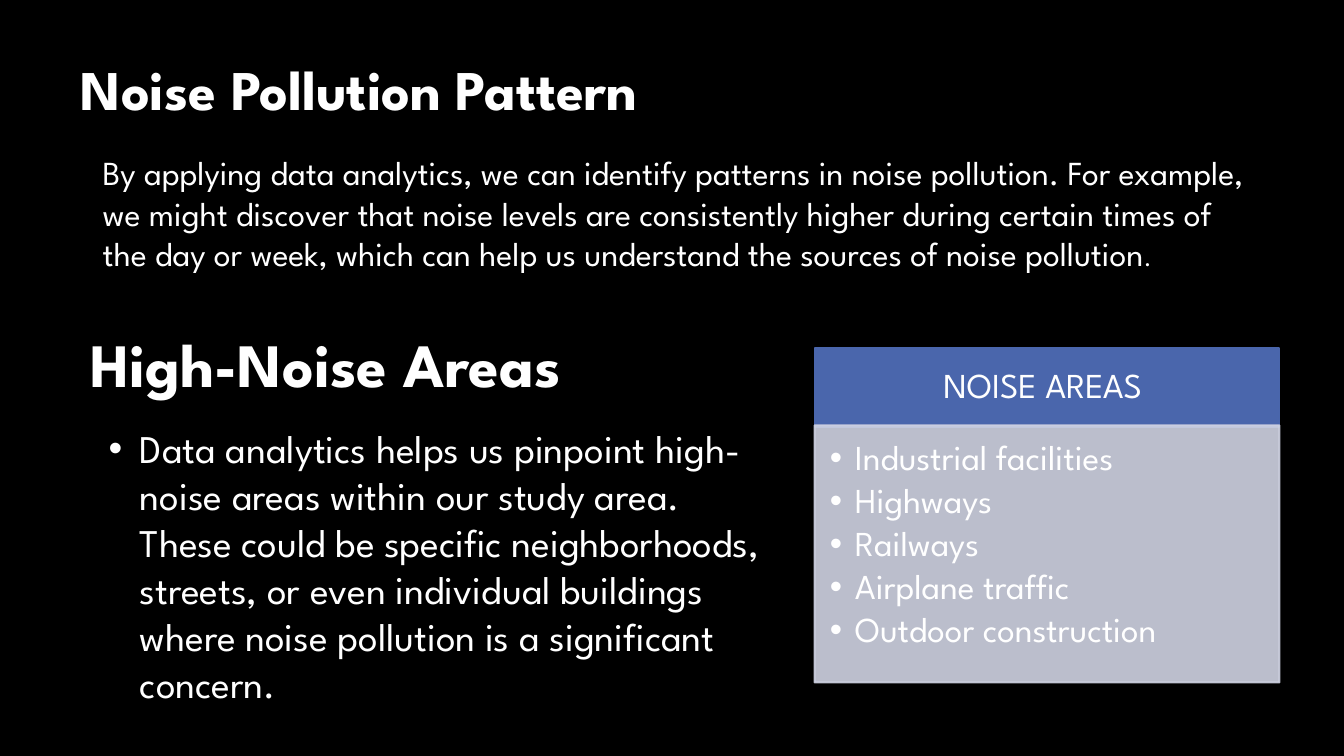
from lxml import etree
from pptx import Presentation
from pptx.dml.color import RGBColor
from pptx.enum.shapes import MSO_SHAPE
from pptx.enum.text import MSO_ANCHOR, MSO_AUTO_SIZE, PP_ALIGN
from pptx.oxml.ns import qn
from pptx.util import Inches, Pt

FONT = "League Spartan"
COLORS = {"background": "000000", "text": "FFFFFF",
          "header": "4A66AC", "list": "D0D3E3"}
AREAS = ["Industrial facilities", "Highways", "Railways",
         "Airplane traffic", "Outdoor construction"]


def rgb(name):
    return RGBColor.from_string(COLORS[name])


def style(p, size, bold=False):
    p.font.name = FONT
    p.font.size = Pt(size)
    p.font.bold = bold
    p.font.color.rgb = rgb("text")


def add_bullet(p, indent):
    """Give the paragraph a hanging bullet, indent in inches."""
    pPr = p._p.get_or_add_pPr()
    pPr.set("marL", str(Inches(indent)))
    pPr.set("indent", str(-Inches(indent)))
    bullet = etree.Element(qn("a:buChar"), char="•")
    font = etree.Element(qn("a:buFont"), typeface="Arial")
    defaults = pPr.find(qn("a:defRPr"))
    if defaults is None:
        pPr.extend([font, bullet])
    else:
        defaults.addprevious(font)
        defaults.addprevious(bullet)


def place(sp, box):
    sp.left, sp.top, sp.width, sp.height = (Inches(v) for v in box)


def add_title(slide, box, text):
    title = slide.shapes.title
    place(title, box)
    tf = title.text_frame
    tf.text = text
    tf.auto_size = MSO_AUTO_SIZE.NONE
    tf.vertical_anchor = MSO_ANCHOR.TOP
    p = tf.paragraphs[0]
    p.alignment = PP_ALIGN.LEFT
    style(p, 40, bold=True)


def add_text(slide, box, text, size, bold=False):
    """Add a one-paragraph text box and return its paragraph."""
    tf = slide.shapes.add_textbox(*(Inches(v) for v in box)).text_frame
    tf.word_wrap = True
    p = tf.paragraphs[0]
    p.text = text
    style(p, size, bold)
    return p


def add_panel_part(slide, box, color, margins, lines, opacity=100):
    """Add a filled rectangle holding lines of text; return its text frame."""
    sp = slide.shapes.add_shape(MSO_SHAPE.RECTANGLE, *(Inches(v) for v in box))
    sp.shadow.inherit = False
    sp.line.width = Pt(1.5)
    for fill in (sp.fill, sp.line.fill):
        fill.solid()
        fill.fore_color.rgb = rgb(color)
    if opacity < 100:
        for clr in sp._element.spPr.iter(qn("a:srgbClr")):
            etree.SubElement(clr, qn("a:alpha"), val=str(opacity * 1000))
    tf = sp.text_frame
    tf.word_wrap = True
    tf.margin_left, tf.margin_top, tf.margin_right, tf.margin_bottom = (
        Inches(m) for m in margins)
    for i, line in enumerate(lines):
        p = tf.paragraphs[0] if i == 0 else tf.add_paragraph()
        p.text = line
        p.line_spacing = 0.9
        style(p, 25)
    return tf


def add_areas_panel(slide, box):
    left, top, width, height = box
    header_h, list_top = 0.79, 0.77
    header = add_panel_part(slide, (left, top, width, header_h), "header",
                            (0.19, 0.11, 0.19, 0.11), ["NOISE AREAS "])
    header.vertical_anchor = MSO_ANCHOR.MIDDLE
    header.paragraphs[0].alignment = PP_ALIGN.CENTER

    areas = add_panel_part(slide, (left, top + list_top, width, height - list_top),
                           "list", (0.15, 0.15, 0.19, 0.22), AREAS, opacity=90)
    areas.vertical_anchor = MSO_ANCHOR.TOP
    for p in areas.paragraphs:
        p.alignment = PP_ALIGN.LEFT
        p.space_after = Pt(3.75)
        add_bullet(p, 0.25)


def add_high_noise_section(slide, box):
    left, top, width, height = box
    add_text(slide, (left, top, 8, 0.84), "High-Noise Areas", 44, bold=True)
    p = add_text(
        slide, (left + 0.18, top + 0.98, width - 0.18, height - 0.98),
        "Data analytics helps us pinpoint high-noise areas within our study "
        "area. These could be specific neighborhoods, streets, or even "
        "individual buildings where noise pollution is a significant concern.",
        28)
    add_bullet(p, 0.31)


def add_intro(slide, box):
    p = add_text(
        slide, box,
        "By applying data analytics, we can identify patterns in noise "
        "pollution. For example, we might discover that noise levels are "
        "consistently higher during certain times of the day or week, which "
        "can help us understand the sources of noise pollution", 24)
    r = p.add_run()
    r.text = "."
    r.font.size = Pt(18)


def main():
    prs = Presentation()
    prs.slide_width, prs.slide_height = Inches(13.33), Inches(7.5)
    slide = prs.slides.add_slide(prs.slide_layouts[5])
    slide.background.fill.solid()
    slide.background.fill.fore_color.rgb = rgb("background")

    add_title(slide, (0.7, 0.49, 11.67, 0.77), "Noise Pollution Pattern")
    add_intro(slide, (0.92, 1.46, 11.66, 2.02))
    add_high_noise_section(slide, (0.8, 3.18, 7.04, 3.91))
    add_areas_panel(slide, (8.08, 3.45, 4.61, 3.32))
    prs.save("out.pptx")


if __name__ == "__main__":
    main()
